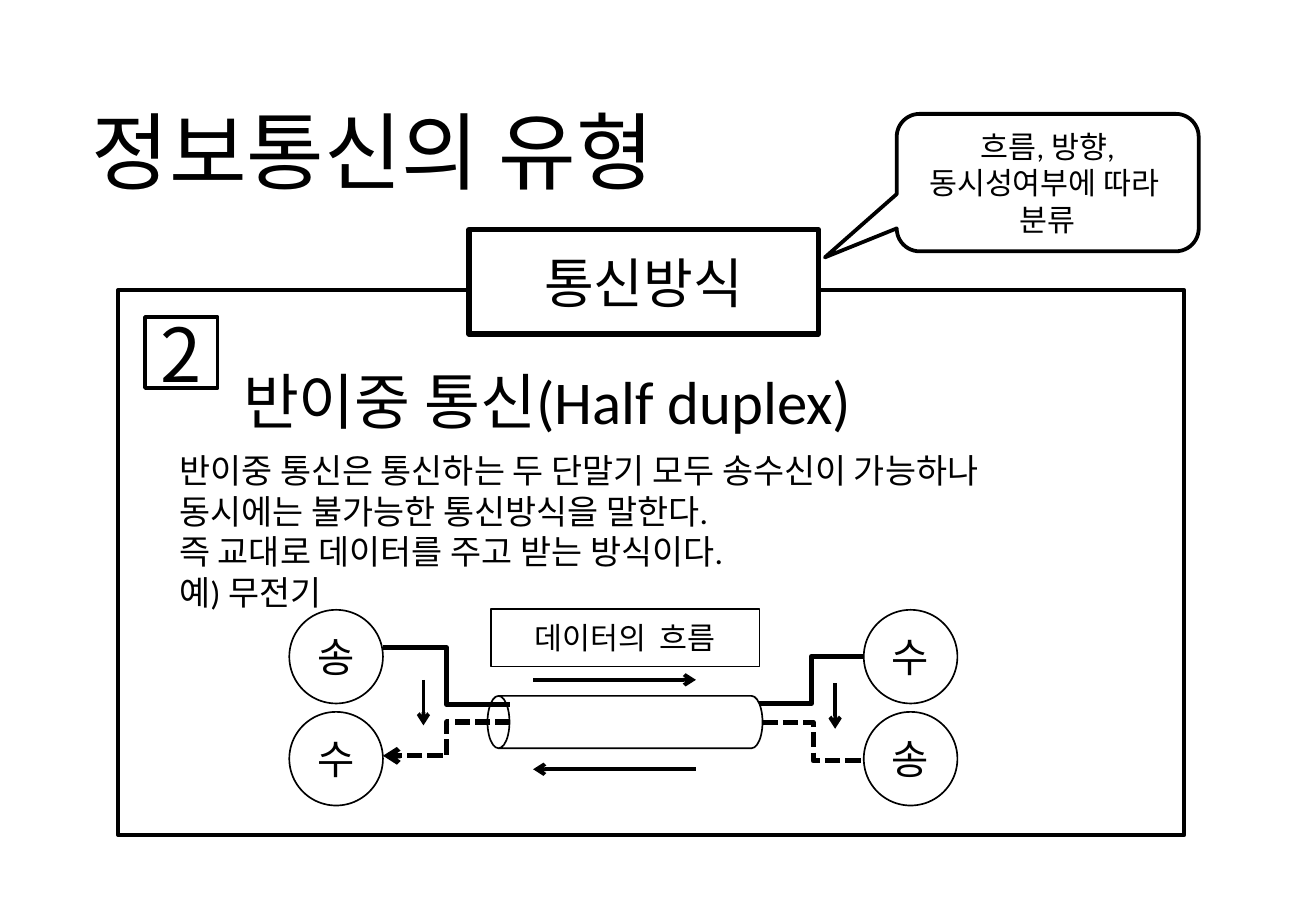
from lxml import etree
from pptx import Presentation
from pptx.dml.color import RGBColor
from pptx.enum.dml import MSO_LINE
from pptx.enum.shapes import MSO_CONNECTOR, MSO_SHAPE
from pptx.enum.text import MSO_ANCHOR, MSO_AUTO_SIZE, PP_ALIGN
from pptx.oxml.ns import qn
from pptx.util import Pt

BLACK = RGBColor(0, 0, 0)
WHITE = RGBColor(255, 255, 255)
RECTANGLE = MSO_SHAPE.RECTANGLE
OVAL = MSO_SHAPE.OVAL
CAN = MSO_SHAPE.CAN
CALLOUT = MSO_SHAPE.ROUNDED_RECTANGULAR_CALLOUT
STRAIGHT = MSO_CONNECTOR.STRAIGHT
ELBOW = MSO_CONNECTOR.ELBOW
DASHED = MSO_LINE.SQUARE_DOT
LEFT, CENTER = PP_ALIGN.LEFT, PP_ALIGN.CENTER
TOP, MIDDLE = MSO_ANCHOR.TOP, MSO_ANCHOR.MIDDLE
NO_AUTOFIT = MSO_AUTO_SIZE.NONE


class DiagramSlide:
    """Draws black-on-white elements on one slide, all lengths in points."""

    font = "Calibri"

    def __init__(self, slide):
        self.slide = slide
        self.shapes = slide.shapes

    def set_text(self, shape, paragraphs, size, align=LEFT, anchor=TOP, font=None):
        """Fill a shape with paragraphs, each given as a list of lines."""
        frame = shape.text_frame
        frame.word_wrap = True
        frame.auto_size = NO_AUTOFIT
        frame.vertical_anchor = anchor
        for number, lines in enumerate(paragraphs):
            paragraph = frame.add_paragraph() if number else frame.paragraphs[0]
            paragraph.alignment = align
            paragraph.space_before = Pt(0)
            for position, line in enumerate(lines):
                if position:
                    paragraph.add_line_break()
                run = paragraph.add_run()
                run.text = line
                run.font.name = font or self.font
                run.font.size = Pt(size)
                run.font.color.rgb = BLACK

    def placeholder(self, shape, box, paragraphs, size):
        shape.left, shape.top, shape.width, shape.height = map(Pt, box)
        self.set_text(shape, paragraphs, size)
        for paragraph in shape.text_frame.paragraphs:
            properties = paragraph._p.get_or_add_pPr()
            properties.set("marL", "0")
            properties.set("indent", "0")
            etree.SubElement(properties, qn("a:buNone"))

    def text(self, box, line, size):
        self.set_text(self.shapes.add_textbox(*map(Pt, box)), [[line]], size)

    def shape(self, kind, box, weight, lines=(), size=18, font=None):
        shape = self.shapes.add_shape(kind, *map(Pt, box))
        shape.shadow.inherit = False
        shape.fill.solid()
        shape.fill.fore_color.rgb = WHITE
        shape.line.color.rgb = BLACK
        shape.line.width = Pt(weight)
        if lines:
            self.set_text(shape, [lines], size, CENTER, MIDDLE, font)
        return shape

    def connector(self, kind, start, end, weight, arrow=False, dash=None):
        """Draw a line, with an arrowhead at its end if asked."""
        connector = self.shapes.add_connector(kind, *map(Pt, start + end))
        connector.line.color.rgb = BLACK
        connector.line.width = Pt(weight)
        if dash:
            connector.line.dash_style = dash
        properties = connector.element.spPr
        if arrow:
            etree.SubElement(properties.find(qn("a:ln")), qn("a:tailEnd"), type="arrow")
        etree.SubElement(properties, qn("a:effectLst"))


def main():
    presentation = Presentation()
    presentation.slide_width, presentation.slide_height = Pt(780), Pt(540)
    slide = presentation.slides.add_slide(presentation.slide_layouts[1])
    diagram = DiagramSlide(slide)
    title, body = slide.placeholders

    # Panel, placed behind the placeholders
    panel = diagram.shape(RECTANGLE, (70, 172, 632, 323), 2.25)
    title.element.addprevious(panel.element)

    # Headings and definition
    diagram.placeholder(title, (47, 55, 441, 68), [["정보통신의 유형"]], 50)
    diagram.placeholder(body, (99, 263, 533, 104), [
        ["반이중 통신은 통신하는 두 단말기 모두 송수신이 가능하나",
         "동시에는 불가능한 통신방식을 말한다."],
        ["즉 교대로 데이터를 주고 받는 방식이다."],
        ["예) 무전기"],
    ], 20)
    diagram.shape(RECTANGLE, (278, 136, 207, 62), 3, ["통신방식"], 32)
    diagram.shape(RECTANGLE, (86, 188, 43, 42), 2.25, ["2"], 44, "Noto Sans CJK KR")
    diagram.text((137, 212, 425, 51), "반이중 통신(Half duplex)", 36)

    # Channel and data flow
    channel = diagram.shape(CAN, (355, 346.5, 31, 163), 1)
    channel.rotation = 270
    channel.adjustments[0] = 0.42
    diagram.shape(RECTANGLE, (291, 361, 159, 34), 0.75, ["데이터의  흐름"])
    for start, end in (
        ((316, 403), (412.5, 403)),
        ((412.5, 456), (316, 456)),
        ((251, 403), (251, 430)),
        ((495, 405), (495, 432)),
    ):
        diagram.connector(STRAIGHT, start, end, 2.25, arrow=True)

    # Terminals
    for left, labels in ((171.5, "송수"), (512, "수송")):
        for row, label in enumerate(labels):
            box = (left, 361.5 + 60.5 * row, 55.5, 55.5)
            diagram.shape(OVAL, box, 1, [label], 24)

    # Links between terminals and channel
    diagram.connector(ELBOW, (227, 384), (302.5, 417.5), 3)
    diagram.connector(ELBOW, (302.5, 428), (227, 448), 3, arrow=True, dash=DASHED)
    diagram.connector(ELBOW, (512, 389), (450, 417), 3)
    diagram.connector(ELBOW, (452, 428), (512, 451), 3, dash=DASHED)

    callout = diagram.shape(CALLOUT, (531.5, 67.5, 179, 81.5), 2.25,
                            ["흐름, 방향,", "동시성여부에 따라 ", "분류"])
    for index, value in enumerate((-0.738, 0.544, 0.167)):
        callout.adjustments[index] = value

    presentation.save("out.pptx")


if __name__ == "__main__":
    main()
